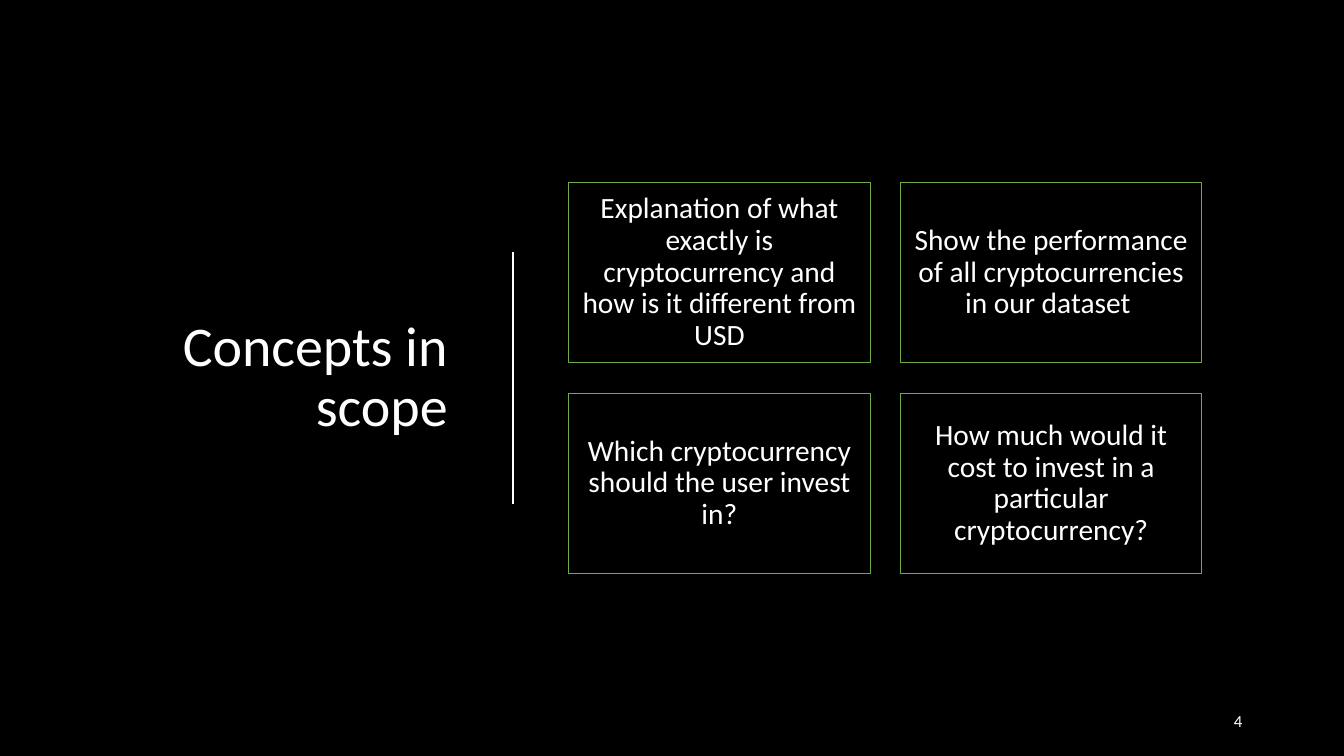
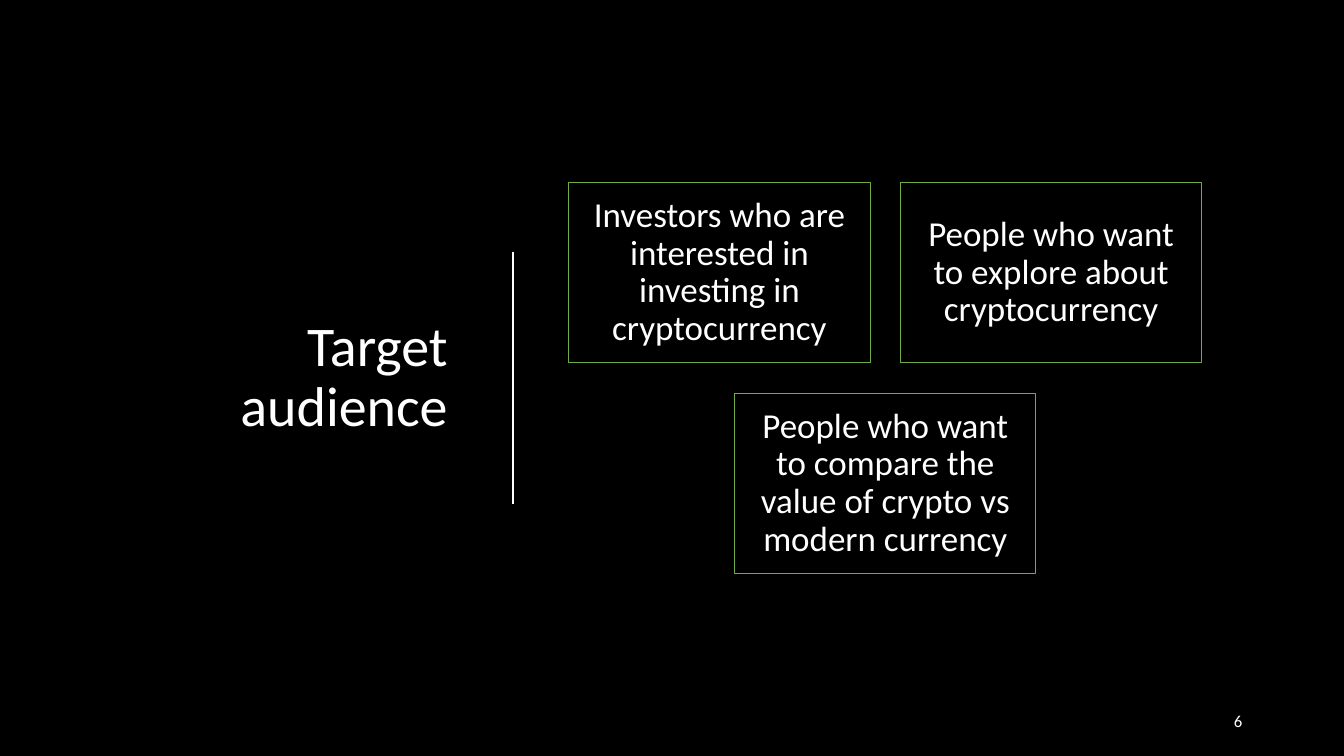
from dataclasses import dataclass

from lxml import etree
from pptx import Presentation
from pptx.dml.color import RGBColor
from pptx.enum.shapes import MSO_CONNECTOR, MSO_SHAPE
from pptx.enum.text import MSO_ANCHOR, MSO_AUTO_SIZE, PP_ALIGN
from pptx.oxml.ns import qn
from pptx.util import Inches, Pt

RECT = MSO_SHAPE.RECTANGLE
STRAIGHT = MSO_CONNECTOR.STRAIGHT
MIDDLE = MSO_ANCHOR.MIDDLE
FIXED = MSO_AUTO_SIZE.NONE
RIGHT = PP_ALIGN.RIGHT
CENTER = PP_ALIGN.CENTER
TITLE_ONLY = 5


@dataclass(frozen=True)
class Theme:
    back: RGBColor = RGBColor.from_string("000000")
    ink: RGBColor = RGBColor.from_string("FFFFFF")
    edge: RGBColor = RGBColor.from_string("70AD47")
    font: str = "Calibri"
    title: int = 40
    number: int = 12
    rule: float = 1.25
    border: float = 0.75
    leading: float = 0.9


@dataclass(frozen=True)
class Grid:
    left: float = 5.64
    top: float = 1.81
    width: float = 2.99
    height: float = 1.79
    gap: float = 0.3
    cols: int = 2

    def spots(self, count):
        step = self.width + self.gap
        for i in range(count):
            row, col = divmod(i, self.cols)
            used = min(self.cols, count - row * self.cols)
            shift = (self.cols - used) / 2
            yield (self.left + (col + shift) * step,
                   self.top + row * (self.height + self.gap))


THEME = Theme()
GRID = Grid()

SLIDES = [
    ("Concepts in scope", "4", 21, 0.09, [
        "Explanation of what exactly is cryptocurrency and how is it different from USD",
        "Show the performance of all cryptocurrencies in our dataset ",
        "Which cryptocurrency should the user invest in?",
        "How much would it cost to invest in a particular cryptocurrency?",
    ]),
    ("Target audience", "6", 25, 0.1, [
        "Investors who are interested in investing in cryptocurrency",
        "People who want to explore about cryptocurrency",
        "People who want to compare the value of crypto vs modern currency",
    ]),
]


def write(shape, text, size, align, leading=1.0):
    frame = shape.text_frame
    frame.text = text
    frame.word_wrap = True
    frame.auto_size = FIXED
    frame.vertical_anchor = MIDDLE
    para = frame.paragraphs[0]
    para.alignment = align
    para.line_spacing = leading
    font = para.runs[0].font
    font.name = THEME.font
    font.size = Pt(size)
    font.color.rgb = THEME.ink


def add_title(slide, text):
    title = slide.shapes.title
    title.left, title.top = Inches(0.92), Inches(1.17)
    title.width, title.height = Inches(3.62), Inches(5.17)
    write(title, text, THEME.title, RIGHT, THEME.leading)


def add_rule(slide):
    rule = slide.shapes.add_connector(
        STRAIGHT, Inches(5.09), Inches(2.5), Inches(5.09), Inches(5))
    rule.line.color.rgb = THEME.ink
    rule.line.width = Pt(THEME.rule)
    etree.SubElement(rule.element.spPr, qn("a:effectLst"))


def add_card(slide, left, top, text, size, inset):
    card = slide.shapes.add_shape(
        RECT, Inches(left), Inches(top),
        Inches(GRID.width), Inches(GRID.height))
    card.shadow.inherit = False
    card.fill.background()
    card.line.color.rgb = THEME.edge
    card.line.width = Pt(THEME.border)
    frame = card.text_frame
    frame.margin_left = frame.margin_right = Inches(inset)
    frame.margin_top = frame.margin_bottom = Inches(inset)
    write(card, text, size, CENTER, THEME.leading)


def add_number(slide, text):
    box = slide.shapes.add_textbox(
        Inches(9.42), Inches(6.95), Inches(3), Inches(0.4))
    write(box, text, THEME.number, RIGHT)


def add_slide(deck, title, number, size, inset, cards):
    slide = deck.slides.add_slide(deck.slide_layouts[TITLE_ONLY])
    add_title(slide, title)
    add_rule(slide)
    for (left, top), text in zip(GRID.spots(len(cards)), cards):
        add_card(slide, left, top, text, size, inset)
    add_number(slide, number)


def main():
    deck = Presentation()
    deck.slide_width, deck.slide_height = Inches(13.33), Inches(7.5)
    fill = deck.slide_master.background.fill
    fill.solid()
    fill.fore_color.rgb = THEME.back
    for content in SLIDES:
        add_slide(deck, *content)
    deck.save("out.pptx")


if __name__ == "__main__":
    main()
